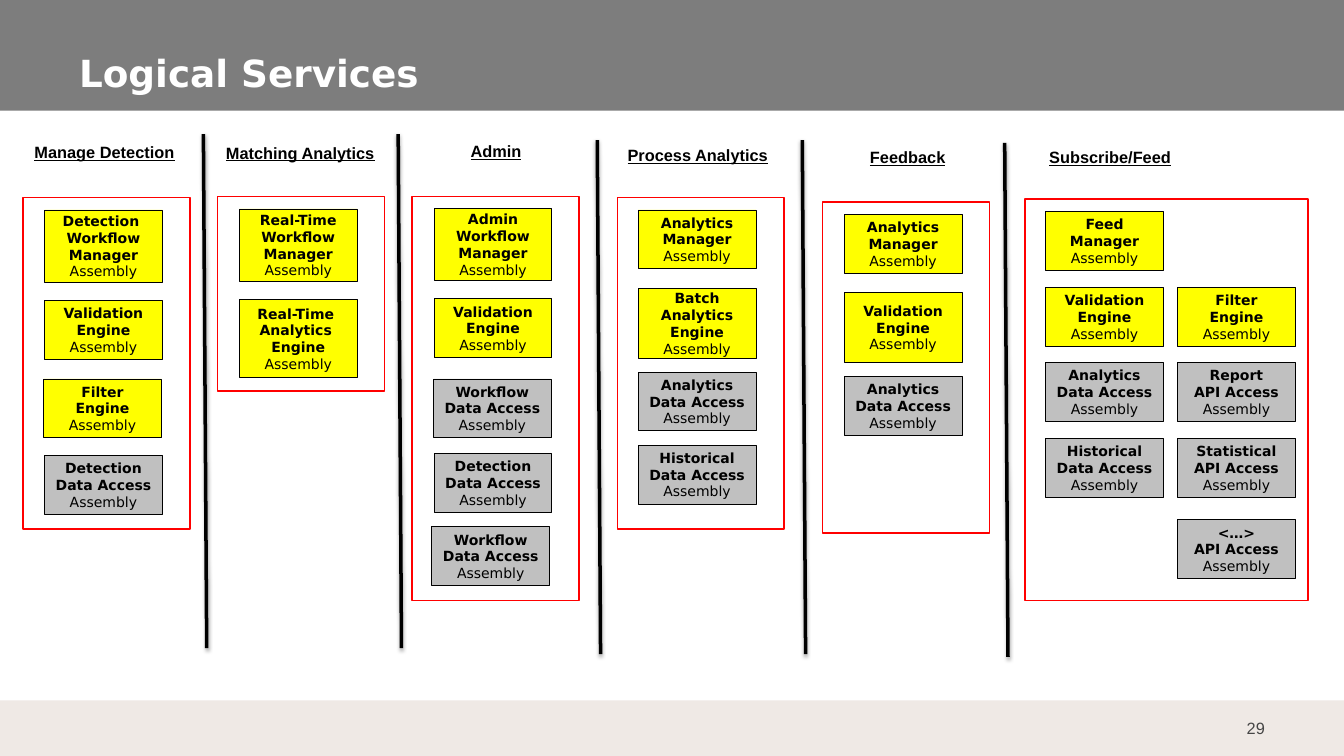
from lxml import etree
from pptx import Presentation
from pptx.dml.color import RGBColor
from pptx.enum.shapes import MSO_CONNECTOR as Link, MSO_SHAPE as Shape
from pptx.enum.text import MSO_ANCHOR as Anchor, MSO_AUTO_SIZE as Fit, PP_ALIGN as Align
from pptx.oxml import parse_xml
from pptx.oxml.ns import nsdecls
from pptx.util import Cm, Pt

SHADOW = f"""<a:effectLst {nsdecls("a")}>
  <a:outerShdw blurRad="39370" dist="22860" dir="5400000" rotWithShape="0">
    <a:srgbClr val="000000"><a:alpha val="35000"/></a:srgbClr>
  </a:outerShdw>
</a:effectLst>"""
CARD = {"size": Pt(12), "name": "DejaVu Sans"}
HEAD = {"size": Pt(14), "name": "Arial", "bold": True, "underline": True}
TITLE = {"size": Pt(32), "name": "DejaVu Sans", "bold": True}
PAGE = {"size": Pt(14), "name": "Arial"}

# Heading, its left and top; frame box; cards as left, top, height, name.
# All lengths are in centimetres.
COLUMNS = [
    ("Manage Detection", 0.58, 4.17, (0.69, 5.97, 5.05, 10.03), [
        (1.35, 6.35, 2.18, "Detection \nWorkflow\nManager"),
        (1.35, 9.09, 1.78, "Validation\nEngine"),
        (1.32, 11.46, 1.78, "Filter\nEngine"),
        (1.35, 13.77, 1.78, "Detection\nData Access")]),
    ("Matching Analytics", 6.5, 4.19, (6.58, 5.94, 5.05, 5.89), [
        (7.24, 6.32, 2.18, "Real-Time\nWorkflow\nManager"),
        (7.24, 9.07, 2.34, "Real-Time \nAnalytics \nEngine")]),
    ("Admin", 12.42, 4.14, (12.47, 5.94, 5.05, 12.22), [
        (13.13, 6.3, 2.18, "Admin\nWorkflow\nManager"),
        (13.13, 9.04, 1.78, "Validation\nEngine"),
        (13.11, 11.46, 1.78, "Workflow\nData Access"),
        (13.13, 13.72, 1.78, "Detection\nData Access"),
        (13.06, 15.93, 1.78, "Workflow\nData Access")]),
    ("Process Analytics", 18.52, 4.27, (18.67, 5.97, 5.05, 10.03), [
        (19.3, 6.35, 1.78, "Analytics\nManager"),
        (19.3, 8.71, 2.13, "Batch\nAnalytics\nEngine"),
        (19.3, 11.25, 1.78, "Analytics\nData Access"),
        (19.3, 13.46, 1.78, "Historical\nData Access")]),
    ("Feedback", 24.87, 4.34, (24.87, 6.1, 5.05, 10.03), [
        (25.53, 6.48, 1.78, "Analytics\nManager"),
        (25.53, 8.84, 2.13, "Validation\nEngine"),
        (25.53, 11.38, 1.78, "Analytics\nData Access")]),
    ("Subscribe/Feed", 30.99, 4.32, (30.99, 6.02, 8.56, 12.14), [
        (31.62, 6.4, 1.78, "Feed\nManager"),
        (31.62, 8.69, 1.78, "Validation\nEngine"),
        (31.62, 10.97, 1.78, "Analytics\nData Access"),
        (31.62, 13.26, 1.78, "Historical\nData Access"),
        (35.61, 8.69, 1.78, "Filter\nEngine"),
        (35.61, 10.97, 1.78, "Report\nAPI Access"),
        (35.61, 13.26, 1.78, "Statistical\nAPI Access"),
        (35.61, 15.72, 1.78, "<…>\nAPI Access")]),
]
RULES = [(6.15, 4.06), (12.04, 4.06), (18.06, 4.24), (24.26, 4.24), (30.38, 4.32)]


def paint(part, color):
    """Set a fill or font colour, or a line colour, from a hex string."""
    if hasattr(part, "solid"):
        part.solid()
    target = part.fore_color if hasattr(part, "fore_color") else part.color
    target.rgb = RGBColor.from_string(color)


def write(par, text, style, color="000000", align=Align.CENTER):
    par.alignment = align
    run = par.add_run()
    run.text = text
    for key, value in style.items():
        setattr(run.font, key, value)
    paint(run.font, color)


deck = Presentation()
deck.slide_width, deck.slide_height = Cm(40.64), Cm(22.86)
slide = deck.slides.add_slide(deck.slide_layouts[5])
shapes = slide.shapes

# Bands, title and page number
for left, top, width, height, color in [(-0.05, 0, 40.77, 3.35, "7D7D7D"),
                                        (0, 21.18, 40.64, 1.68, "EFE9E5")]:
    band = shapes.add_shape(Shape.RECTANGLE, Cm(left), Cm(top), Cm(width), Cm(height))
    band.shadow.inherit = False
    paint(band.fill, color)
    band.line.fill.background()

title = shapes.title
title.left, title.top, title.width, title.height = Cm(2.03), Cm(1.17), Cm(36.09), Cm(1.88)
shapes._spTree.append(title._element)  # in front of the bands
page = shapes.add_textbox(Cm(36.58), Cm(21.39), Cm(2.03), Cm(1.22))
for box, text, style, color, align, anchor in [
        (title, "Logical Services", TITLE, "FFFFFF", Align.LEFT, Anchor.BOTTOM),
        (page, "29", PAGE, "464646", Align.RIGHT, Anchor.MIDDLE)]:
    frame = box.text_frame
    layout = {"word_wrap": True, "auto_size": Fit.NONE, "vertical_anchor": anchor,
              "margin_left": Cm(0.36), "margin_right": Cm(0.36),
              "margin_top": Cm(0.18), "margin_bottom": Cm(0.18)}
    for key, value in layout.items():
        setattr(frame, key, value)
    write(frame.paragraphs[0], text, style, color, align)

# Service columns
for head, left, top, edges, cards in COLUMNS:
    border = shapes.add_shape(Shape.RECTANGLE, *map(Cm, edges))
    border.shadow.inherit = False
    border.fill.background()
    paint(border.line, "FF0000")
    border.line.width = Pt(1.5)

    for x, y, height, name in cards:
        card = shapes.add_shape(Shape.RECTANGLE, Cm(x), Cm(y), Cm(3.56), Cm(height))
        card.shadow.inherit = False
        paint(card.fill, "C0C0C0" if "Access" in name else "FFFF00")
        paint(card.line, "000000")
        card.line.width = Pt(0.75)
        frame = card.text_frame
        frame.word_wrap = False
        frame.vertical_anchor = Anchor.MIDDLE
        par = frame.paragraphs[0]
        for line in name.split("\n"):
            write(par, line, {**CARD, "bold": True})
            par = frame.add_paragraph()
        write(par, "Assembly", {**CARD, "bold": False})

    label = shapes.add_textbox(Cm(left), Cm(top), Cm(5.16), Cm(0.86))
    label.text_frame.word_wrap = True
    label.text_frame.auto_size = Fit.SHAPE_TO_FIT_TEXT
    write(label.text_frame.paragraphs[0], head, HEAD)

# Slightly slanted rules between the columns
for x, y in RULES:
    rule = shapes.add_connector(Link.STRAIGHT, Cm(x), Cm(y), Cm(x + 0.1), Cm(y + 15.54))
    paint(rule.line, "000000")
    rule.line.width = Pt(3)
    rule._element.spPr.append(parse_xml(SHADOW))

deck.save("out.pptx")
